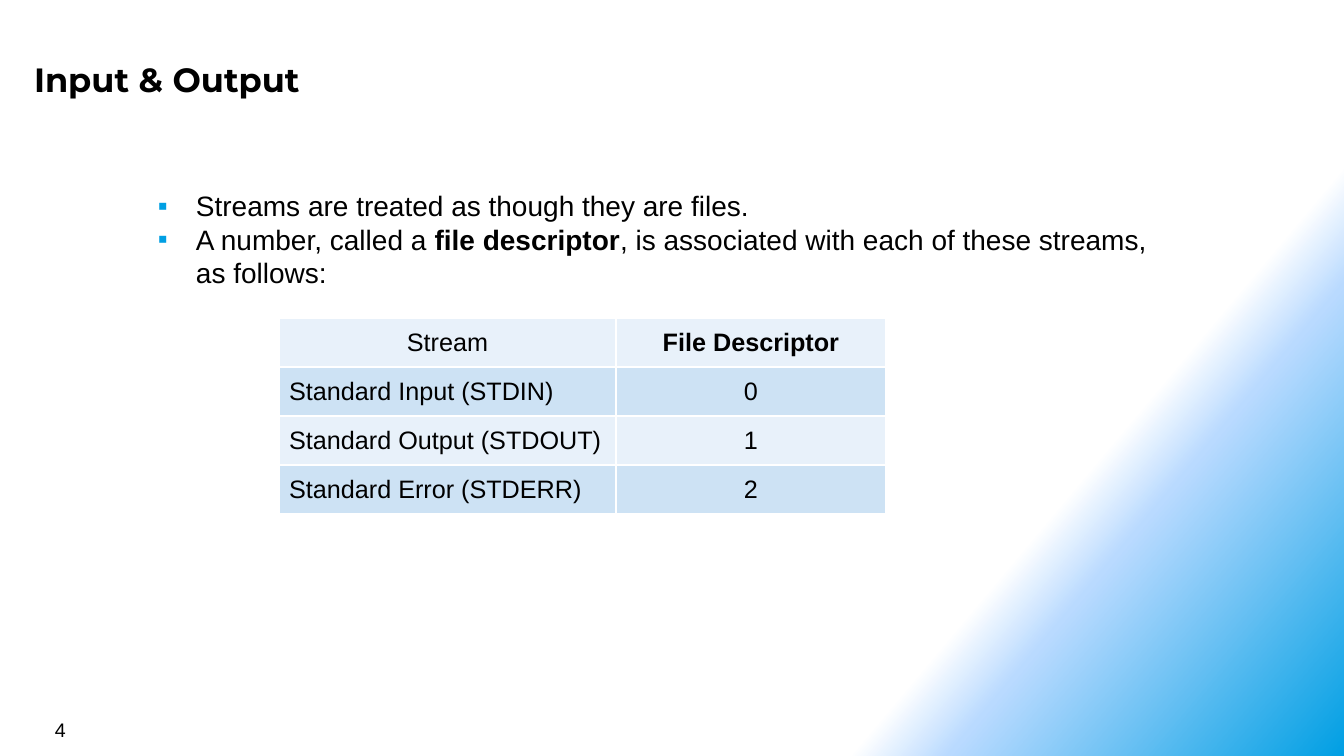
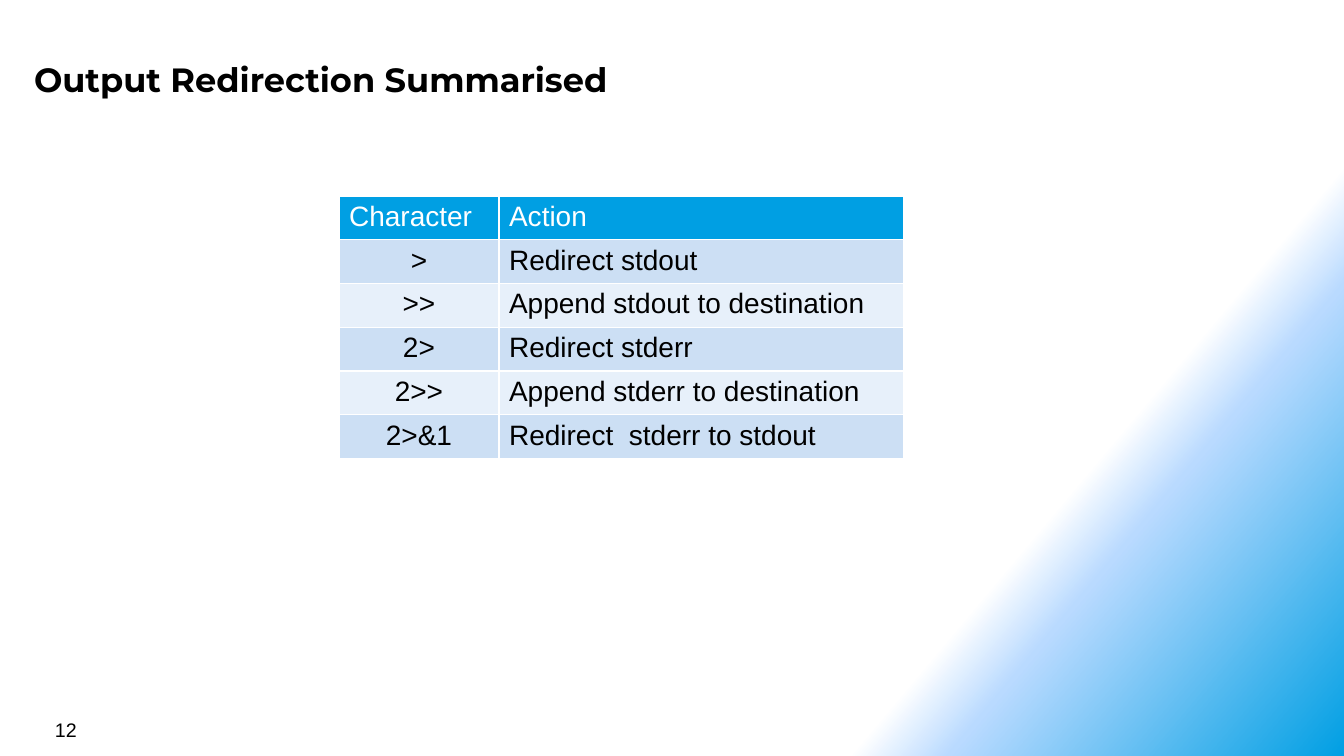
from lxml.etree import SubElement
from pptx import Presentation
from pptx.dml.color import RGBColor
from pptx.enum.text import MSO_ANCHOR, PP_ALIGN
from pptx.oxml.ns import qn
from pptx.util import Emu, Pt

BLUE, PALE_BLUE, WHITE, BLACK = "009FE3", "B9DAFF", "FFFFFF", "000000"
LEFT, CENTER = PP_ALIGN.LEFT, PP_ALIGN.CENTER
BODY_SIZE = 20


def px(n):
    return Emu(round(n * 914400 / 100.8))


def add_run(p, text, size, color=BLACK, bold=False, font="Arial"):
    r = p.add_run()
    r.text = text
    r.font.name = font
    r.font.size = Pt(size)
    r.font.bold = bold
    r.font.color.rgb = RGBColor.from_string(color)


slides = [
    {
        "title": "Input & Output",
        "number": "4",
        "bullets": [
            (1.5, [("Streams are treated as though they are files.", False)]),
            (1, [
                ("A number, called a ", False),
                ("file descriptor", True),
                (", is associated with each of these streams, as follows:", False),
            ]),
        ],
        "table": {
            "at": (279, 318),
            "height": 196,
            "cols": (337, 270),
            "size": 18,
            "anchor": MSO_ANCHOR.MIDDLE,
            "header": ("E8F1FA", BLACK),
            "header_bold": (False, True),
            "header_align": (CENTER, CENTER),
            "align": (LEFT, CENTER),
            "bands": ("CDE2F4", "E8F1FA"),
            "rows": [
                ("Stream", "File Descriptor"),
                ("Standard Input (STDIN)", "0"),
                ("Standard Output (STDOUT)", "1"),
                ("Standard Error (STDERR)", "2"),
            ],
        },
    },
    {
        "title": "Output Redirection Summarised",
        "number": "12",
        "bullets": [],
        "table": {
            "at": (339, 196),
            "height": 262,
            "cols": (160, 405),
            "size": 20,
            "anchor": MSO_ANCHOR.TOP,
            "header": (BLUE, WHITE),
            "header_bold": (False, False),
            "header_align": (LEFT, LEFT),
            "align": (CENTER, LEFT),
            "bands": ("CCDFF4", "E7F0FA"),
            "rows": [
                ("Character", "Action"),
                (">", "Redirect stdout"),
                (">>", "Append stdout to destination"),
                ("2>", "Redirect stderr"),
                ("2>>", "Append stderr to destination"),
                ("2>&1", "Redirect  stderr to stdout"),
            ],
        },
    },
]

prs = Presentation()
prs.slide_width, prs.slide_height = px(1344), px(756)

master = prs.slide_master
master.background.fill.gradient()
grad = master.element.find(".//" + qn("a:gradFill"))
for child in list(grad):
    grad.remove(child)
stops = SubElement(grad, qn("a:gsLst"))
for pos, color in ((75, WHITE), (80, PALE_BLUE), (100, BLUE)):
    stop = SubElement(stops, qn("a:gs"), pos=str(pos * 1000))
    SubElement(stop, qn("a:srgbClr"), val=color)
SubElement(grad, qn("a:lin"), ang=str(40 * 60000), scaled="0")

for data in slides:
    slide = prs.slides.add_slide(prs.slide_layouts[6])

    tf = slide.shapes.add_textbox(px(26), px(51), px(1236), px(55)).text_frame
    tf.word_wrap = True
    tf.margin_left = tf.margin_right = tf.margin_top = tf.margin_bottom = px(8)
    add_run(tf.paragraphs[0], data["title"], 24, bold=True, font="Montserrat")

    tf = slide.shapes.add_textbox(px(45), px(713), px(313), px(33)).text_frame
    tf.word_wrap = True
    add_run(tf.paragraphs[0], data["number"], 14)

    if data["bullets"]:
        tf = slide.shapes.add_textbox(px(148), px(167), px(1024), px(140)).text_frame
        tf.word_wrap = True
        for i, (spacing, runs) in enumerate(data["bullets"]):
            p = tf.add_paragraph() if i else tf.paragraphs[0]
            p.line_spacing = float(spacing)
            pPr = p._p.get_or_add_pPr()
            pPr.set("marL", str(px(38)))
            pPr.set("indent", str(-px(38)))
            SubElement(SubElement(pPr, qn("a:buClr")), qn("a:srgbClr"), val=BLUE)
            SubElement(pPr, qn("a:buFont"), typeface="Arial")
            SubElement(pPr, qn("a:buChar"), char="▪")
            for text, bold in runs:
                add_run(p, text, BODY_SIZE, bold=bold)

    spec_table = data["table"]
    rows, cols = spec_table["rows"], spec_table["cols"]
    x, y = spec_table["at"]
    table = slide.shapes.add_table(
        len(rows), len(cols), px(x), px(y), px(sum(cols)), px(spec_table["height"])
    ).table
    table.first_row = table.horz_banding = False
    for column, width in zip(table.columns, cols):
        column.width = px(width)

    for i, row in enumerate(rows):
        for j, text in enumerate(row):
            if i == 0:
                fill, color = spec_table["header"]
                bold = spec_table["header_bold"][j]
                align = spec_table["header_align"][j]
            else:
                fill, color = spec_table["bands"][(i - 1) % 2], BLACK
                bold, align = False, spec_table["align"][j]
            cell = table.cell(i, j)
            cell.vertical_anchor = spec_table["anchor"]
            tcPr = cell._tc.get_or_add_tcPr()
            for side in ("a:lnL", "a:lnR", "a:lnT", "a:lnB"):
                ln = SubElement(tcPr, qn(side), w=str(Pt(1)))
                SubElement(SubElement(ln, qn("a:solidFill")), qn("a:srgbClr"), val=WHITE)
            cell.fill.solid()
            cell.fill.fore_color.rgb = RGBColor.from_string(fill)
            p = cell.text_frame.paragraphs[0]
            p.alignment = align
            add_run(p, text, spec_table["size"], color, bold)

prs.save("out.pptx")
